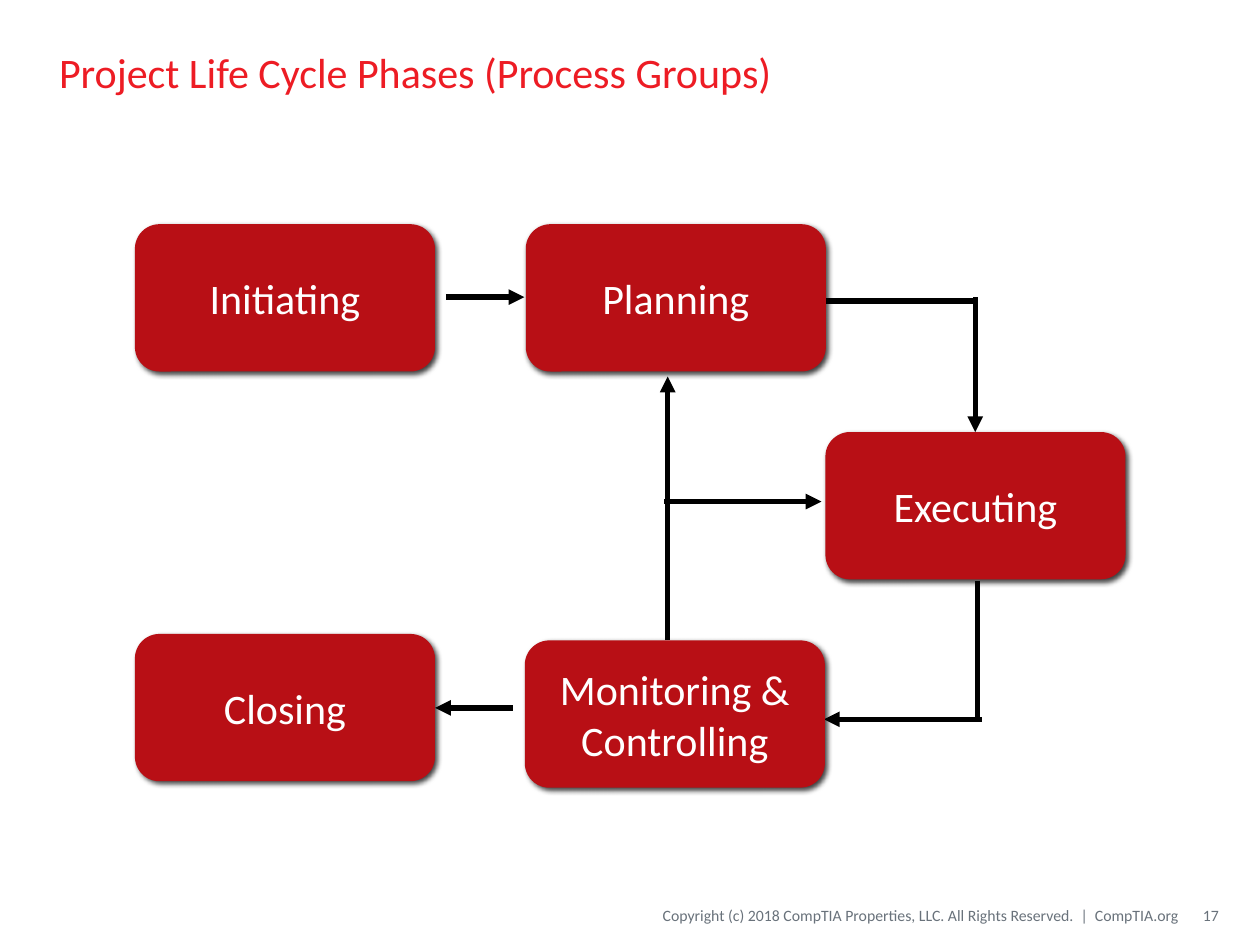
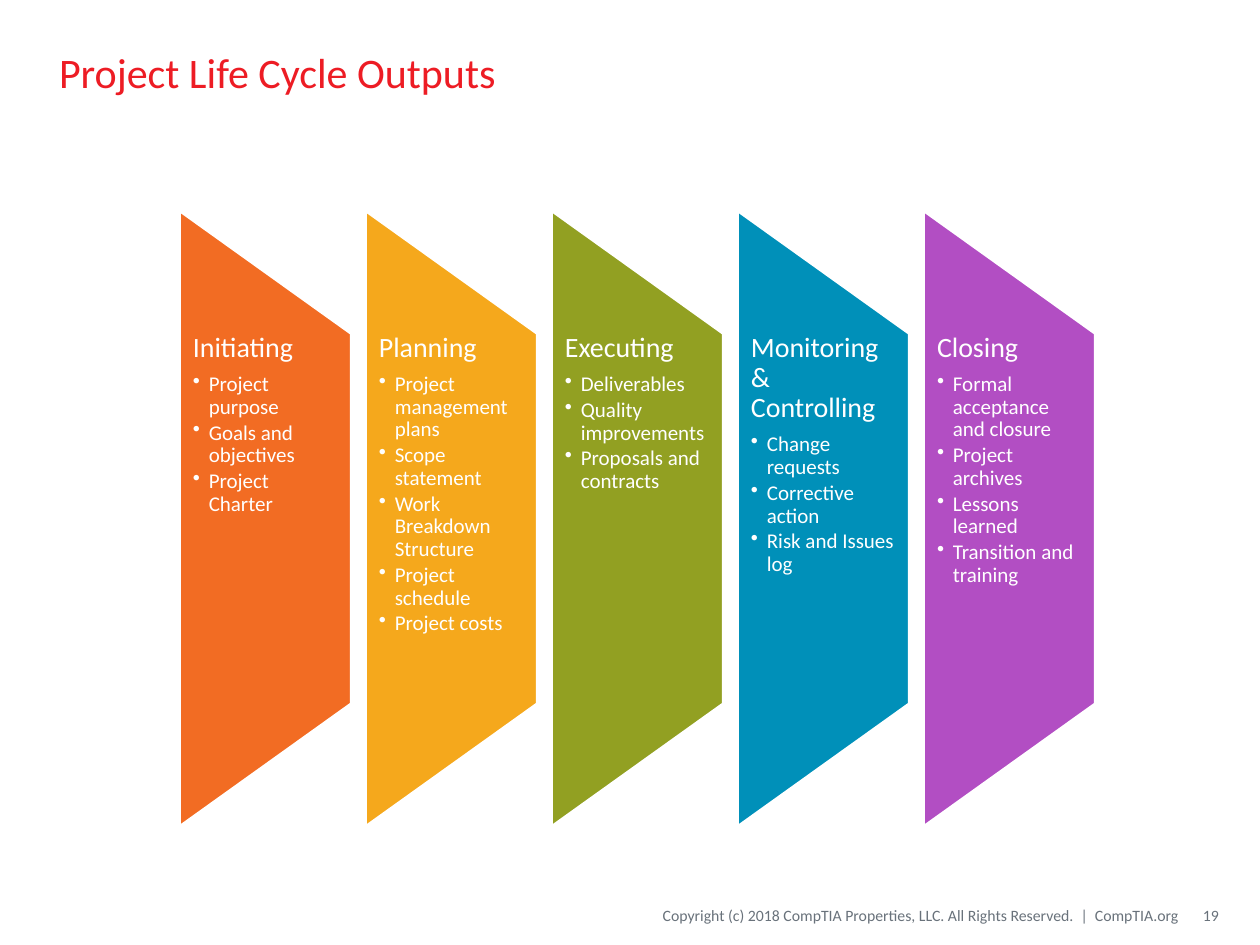
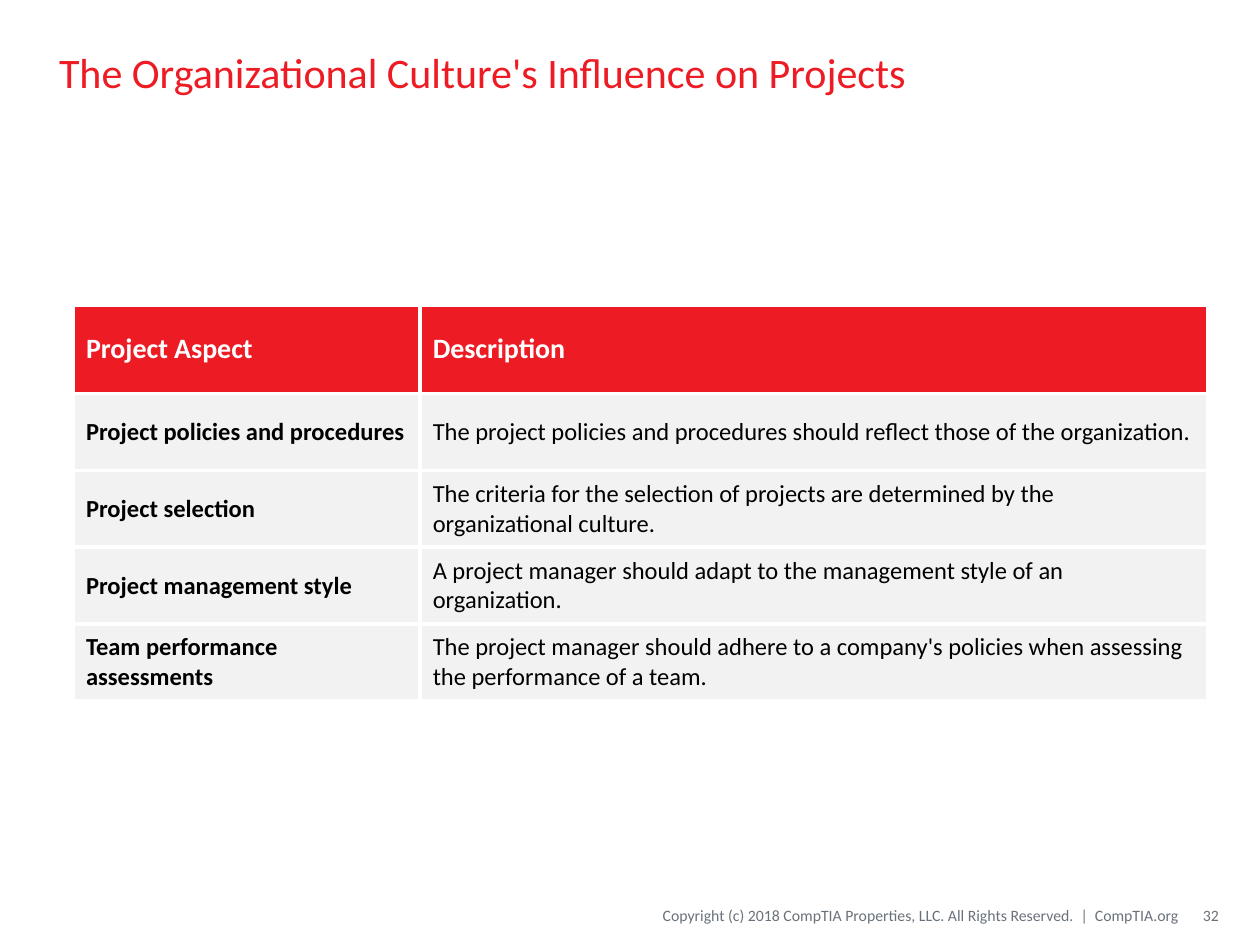
from pptx import Presentation
from pptx.dml.color import RGBColor
from pptx.enum.shapes import MSO_CONNECTOR, MSO_SHAPE
from pptx.enum.text import MSO_ANCHOR, MSO_AUTO_SIZE, PP_ALIGN
from pptx.oxml import parse_xml
from pptx.oxml.ns import nsdecls
from pptx.util import Cm, Pt

FONT = "Calibri"
RED = RGBColor(0xED, 0x1C, 0x24)
DARK_RED = RGBColor(0xB8, 0x0F, 0x15)
ORANGE = RGBColor(0xF2, 0x6C, 0x23)
AMBER = RGBColor(0xF5, 0xA8, 0x1C)
GREEN = RGBColor(0x92, 0xA0, 0x22)
BLUE = RGBColor(0x00, 0x90, 0xB9)
PURPLE = RGBColor(0xB2, 0x4E, 0xC3)
GREY = RGBColor(0x69, 0x72, 0x7B)
PALE_GREY = RGBColor(0xF2, 0xF2, 0xF2)
WHITE = RGBColor(0xFF, 0xFF, 0xFF)
BLACK = RGBColor(0x00, 0x00, 0x00)

TITLE_ONLY = 5
COPYRIGHT = ("Copyright (c) 2018 CompTIA Properties, LLC. "
             "All Rights Reserved.  |  CompTIA.org")

# Phase flow: box positions and lines, in cm from the flow's corner
PHASE_WIDTH, PHASE_HEIGHT = 6.05, 2.97
PHASES = [
    ("Initiating", 0, 0),
    ("Planning", 7.88, 0),
    ("Executing", 13.92, 4.19),
    ("Monitoring & Controlling", 7.86, 8.39),
    ("Closing", 0, 8.26),
]
FLOW_LINES = [  # start x, start y, end x, end y, has arrowhead
    (6.27, 1.47, 7.85, 1.47, True),        # Initiating to Planning
    (13.33, 1.55, 16.94, 1.55, False),     # Planning to Executing
    (16.94, 1.47, 16.94, 4.19, True),
    (16.99, 7.19, 16.99, 9.98, False),     # Executing to Monitoring
    (17.07, 9.98, 13.89, 9.98, True),
    (7.62, 9.75, 6.05, 9.75, True),        # Monitoring to Closing
    (10.74, 8.39, 10.74, 5.59, False),     # Monitoring back to Planning
    (10.74, 5.59, 10.74, 3.07, True),
    (10.67, 5.59, 13.84, 5.59, True),      # Monitoring back to Executing
]

OUTPUTS = [
    ("Initiating", ORANGE,
     ["Project purpose", "Goals and objectives", "Project Charter"]),
    ("Planning", AMBER,
     ["Project management plans", "Scope statement",
      "Work Breakdown Structure", "Project schedule", "Project costs"]),
    ("Executing", GREEN,
     ["Deliverables", "Quality improvements", "Proposals and contracts"]),
    ("Monitoring & Controlling", BLUE,
     ["Change requests", "Corrective action", "Risk and Issues log"]),
    ("Closing", PURPLE,
     ["Formal acceptance and closure", "Project archives",
      "Lessons learned", "Transition and training"]),
]

CULTURE_ROWS = [
    ("Project Aspect", "Description"),
    ("Project policies and procedures",
     "The project policies and procedures should reflect those of the "
     "organization."),
    ("Project selection",
     "The criteria for the selection of projects are determined by the "
     "organizational culture."),
    ("Project management style",
     "A project manager should adapt to the management style of an "
     "organization."),
    ("Team performance assessments",
     "The project manager should adhere to a company's policies when "
     "assessing the performance of a team."),
]


# Shared helpers
def style(para, size, color, align=PP_ALIGN.LEFT, bold=False):
    para.alignment = align
    font = para.font
    font.name, font.size, font.bold = FONT, Pt(size), bold
    font.color.rgb = color


def set_frame(frame, anchor, left=0.25, top=0.13, right=0.25, bottom=0.13):
    frame.word_wrap = True
    frame.auto_size = MSO_AUTO_SIZE.NONE
    frame.vertical_anchor = anchor
    frame.margin_left, frame.margin_right = Cm(left), Cm(right)
    frame.margin_top, frame.margin_bottom = Cm(top), Cm(bottom)


def add_footer_text(page, text, left, width, inset):
    box = page.shapes.add_textbox(Cm(left), Cm(18.08), Cm(width), Cm(0.76))
    set_frame(box.text_frame, MSO_ANCHOR.MIDDLE, left=inset, right=0)
    para = box.text_frame.paragraphs[0]
    para.text = text
    style(para, 9, GREY, PP_ALIGN.RIGHT)


def add_page(deck, title, number):
    page = deck.slides.add_slide(deck.slide_layouts[TITLE_ONLY])
    heading = page.shapes.title
    heading.left, heading.top = Cm(0.94), Cm(0.28)
    heading.width, heading.height = Cm(23.5), Cm(2.34)
    set_frame(heading.text_frame, MSO_ANCHOR.MIDDLE)
    para = heading.text_frame.paragraphs[0]
    para.text = title
    style(para, 24, RED)
    add_footer_text(page, COPYRIGHT, 9.86, 13.89, 0)
    add_footer_text(page, str(number), 23.83, 0.74, 0.25)
    return page


# Phase flow
def add_phase(page, name, left, top):
    box = page.shapes.add_shape(
        MSO_SHAPE.ROUNDED_RECTANGLE, Cm(left), Cm(top),
        Cm(PHASE_WIDTH), Cm(PHASE_HEIGHT))
    box.fill.solid()
    box.fill.fore_color.rgb = DARK_RED
    box.line.fill.background()
    box.shadow.inherit = False
    effects = box.element.spPr.find("{*}effectLst")
    effects.append(parse_xml(
        f'<a:outerShdw {nsdecls("a")} blurRad="{Pt(3)}" dist="{Pt(2)}" '
        'dir="2700000" rotWithShape="0"><a:srgbClr val="000000">'
        '<a:alpha val="75000"/></a:srgbClr></a:outerShdw>'))
    set_frame(box.text_frame, MSO_ANCHOR.MIDDLE)
    para = box.text_frame.paragraphs[0]
    para.text = name
    style(para, 24, WHITE, PP_ALIGN.CENTER)


def add_flow_line(page, start_x, start_y, end_x, end_y, arrow):
    line = page.shapes.add_connector(
        MSO_CONNECTOR.STRAIGHT, Cm(start_x), Cm(start_y), Cm(end_x), Cm(end_y))
    line.line.color.rgb = BLACK
    line.line.width = Pt(3)
    properties = line.element.spPr
    if arrow:
        properties.find("{*}ln").append(
            parse_xml(f'<a:tailEnd {nsdecls("a")} type="triangle"/>'))
    properties.append(parse_xml(f'<a:effectLst {nsdecls("a")}/>'))


def add_phase_flow(page, left, top):
    for start_x, start_y, end_x, end_y, arrow in FLOW_LINES:
        add_flow_line(page, left + start_x, top + start_y,
                      left + end_x, top + end_y, arrow)
    for name, x, y in PHASES:
        add_phase(page, name, left + x, top + y)


# Output panels
def add_bullet(para):
    properties = para._p.get_or_add_pPr()
    properties.set("marL", str(Cm(0.32)))
    properties.set("indent", str(-Cm(0.32)))
    properties.append(parse_xml(f'<a:buChar {nsdecls("a")} char="•"/>'))


def add_output_panel(page, name, color, outputs, left, top, width, height):
    # The panel lies on its side, so its box is turned about the centre
    panel = page.shapes.add_shape(
        MSO_SHAPE.FLOWCHART_MANUAL_OPERATION,
        Cm(left + (width - height) / 2), Cm(top + (height - width) / 2),
        Cm(height), Cm(width))
    panel.rotation = 270
    panel.shadow.inherit = False
    panel.fill.solid()
    panel.fill.fore_color.rgb = color
    panel.line.color.rgb = WHITE
    panel.line.width = Pt(2)

    box = page.shapes.add_textbox(Cm(left), Cm(top + height / 5),
                                  Cm(width), Cm(height * 3 / 5))
    frame = box.text_frame
    set_frame(frame, MSO_ANCHOR.TOP, left=0.28, top=0, right=0.28, bottom=0)
    for index, text in enumerate([name] + outputs):
        para = frame.paragraphs[0] if index == 0 else frame.add_paragraph()
        para.text = text
        para.line_spacing = 0.9
        if index == 0:
            para.space_after = Pt(5.6)
            style(para, 16, WHITE)
        else:
            para.level = 1
            para.space_after = Pt(1.8)
            add_bullet(para)
            style(para, 12, WHITE)


def add_output_panels(page, left, top, width, height, pitch):
    for index, (name, color, outputs) in enumerate(OUTPUTS):
        add_output_panel(page, name, color, outputs,
                         left + index * pitch, top, width, height)


# Culture table
def add_cell_borders(cell):
    properties = cell._tc.get_or_add_tcPr()
    for side in ("lnL", "lnR", "lnT", "lnB"):
        properties.append(parse_xml(
            f'<a:{side} {nsdecls("a")} w="{Pt(2.25)}"><a:solidFill>'
            f'<a:srgbClr val="{WHITE}"/></a:solidFill></a:{side}>'))


def add_culture_table(page, left, top, column_widths, header_height, row_height):
    heights = [header_height] + [row_height] * (len(CULTURE_ROWS) - 1)
    table = page.shapes.add_table(
        len(heights), len(column_widths), Cm(left), Cm(top),
        Cm(sum(column_widths)), Cm(sum(heights))).table
    table.horz_banding = False
    for column, width in zip(table.columns, column_widths):
        column.width = Cm(width)
    for row_index, (row, height) in enumerate(zip(table.rows, heights)):
        row.height = Cm(height)
        header = row_index == 0
        for column_index, cell in enumerate(row.cells):
            add_cell_borders(cell)
            cell.fill.solid()
            cell.fill.fore_color.rgb = RED if header else PALE_GREY
            cell.vertical_anchor = MSO_ANCHOR.MIDDLE
            para = cell.text_frame.paragraphs[0]
            para.text = CULTURE_ROWS[row_index][column_index]
            style(para, 16 if header else 14, WHITE if header else BLACK,
                  bold=header or column_index == 0)


def main():
    deck = Presentation()
    deck.slide_width, deck.slide_height = Cm(25.4), Cm(19.05)

    page = add_page(deck, "Project Life Cycle Phases (Process Groups)", 17)
    add_phase_flow(page, left=2.72, top=4.52)

    page = add_page(deck, "Project Life Cycle Outputs", 19)
    add_output_panels(page, left=3.61, top=4.23, width=3.48, height=12.45,
                      pitch=3.75)

    page = add_page(
        deck, "The Organizational Culture's Influence on Projects", 32)
    add_culture_table(page, left=1.48, top=6.15, column_widths=(6.99, 15.87),
                      header_height=1.78, row_height=1.55)

    deck.save("out.pptx")


if __name__ == "__main__":
    main()
